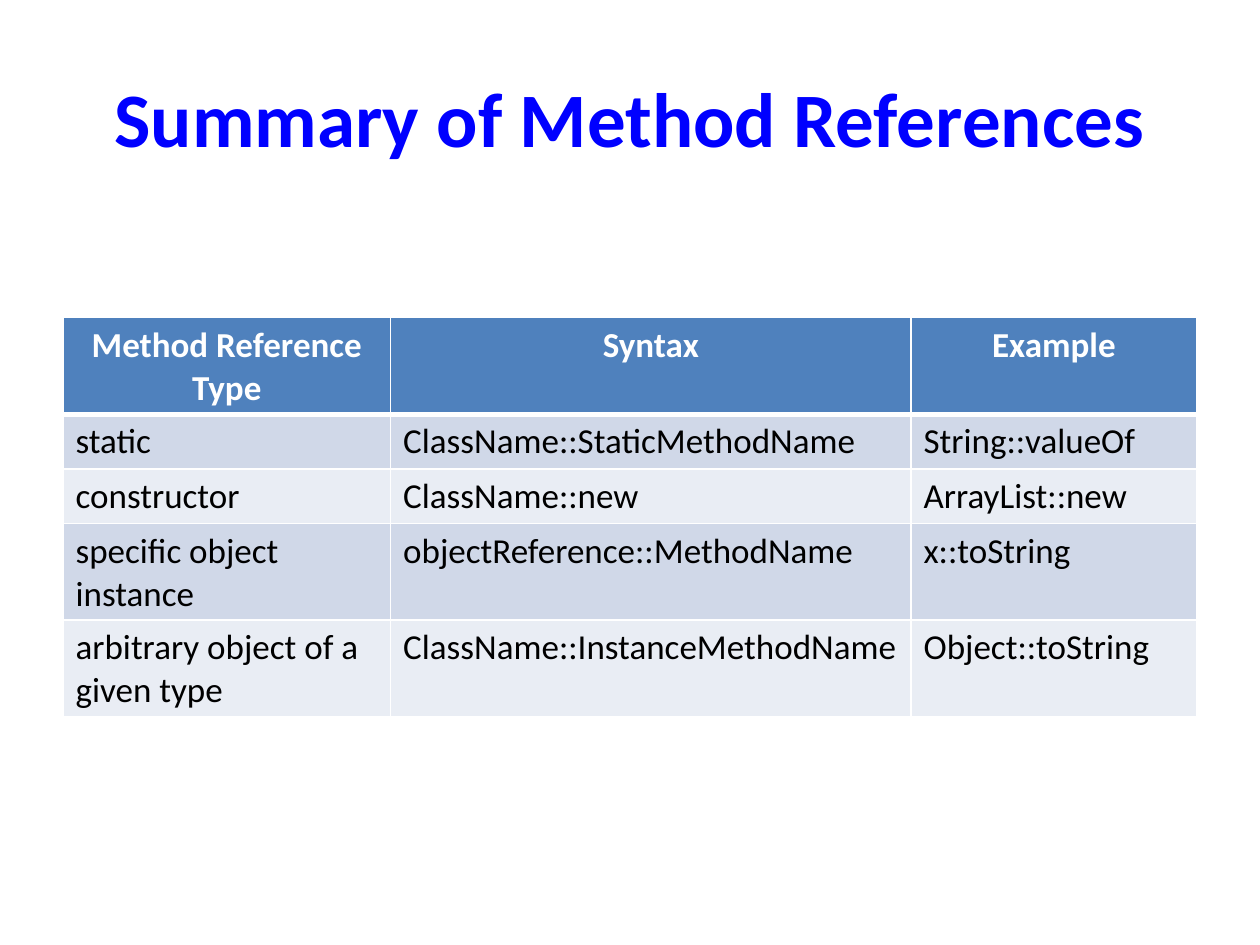
from lxml.etree import SubElement
from pptx import Presentation
from pptx.dml.color import RGBColor
from pptx.enum.text import MSO_ANCHOR as Anchor, PP_ALIGN as Align
from pptx.oxml.ns import qn
from pptx.util import Inches, Pt

COLORS = {
    "title": "0000FF",
    "header": "4F81BD",
    "odd": "D0D8E8",
    "even": "E9EDF4",
    "white": "FFFFFF",
    "black": "000000",
}


class SlideBuilder:
    font = "Calibri"

    def __init__(self, slide):
        self.slide = slide

    def set_text(self, frame, text, size, color, bold=False, align=Align.LEFT):
        frame.text = text
        paragraph = frame.paragraphs[0]
        paragraph.alignment = align
        font = paragraph.runs[0].font
        font.name, font.size, font.bold = self.font, Pt(size), bold
        font.color.rgb = RGBColor.from_string(COLORS[color])

    def title(self, text, left, top, width, height):
        box = self.slide.shapes.add_textbox(
            Inches(left), Inches(top), Inches(width), Inches(height))
        frame = box.text_frame
        frame.word_wrap = True
        frame.vertical_anchor = Anchor.MIDDLE
        self.set_text(frame, text, 44, "title", True, Align.CENTER)

    def border(self, cell, side, points):
        line = SubElement(cell._tc.get_or_add_tcPr(), qn(f"a:{side}"),
                          w=str(Pt(points)))
        fill = SubElement(line, qn("a:solidFill"))
        SubElement(fill, qn("a:srgbClr"), val=COLORS["white"])

    def table(self, rows, left, top, widths, row_height):
        table = self.slide.shapes.add_table(
            len(rows), len(widths), Inches(left), Inches(top),
            Inches(sum(widths)), Inches(row_height * len(rows))).table
        for column, width in zip(table.columns, widths):
            column.width = Inches(width)
        for r, row in enumerate(rows):
            table.rows[r].height = Inches(row_height)
            band = "header" if r == 0 else "odd" if r % 2 else "even"
            for c, text in enumerate(row):
                cell = table.cell(r, c)
                # A thick rule separates the header from the body
                thickness = {"lnL": 1, "lnR": 1, "lnT": 3 if r == 1 else 1,
                             "lnB": 3 if r == 0 else 1}
                for side, points in thickness.items():
                    self.border(cell, side, points)
                cell.fill.solid()
                cell.fill.fore_color.rgb = RGBColor.from_string(COLORS[band])
                if r == 0:
                    self.set_text(cell.text_frame, text, 20, "white", True, Align.CENTER)
                else:
                    self.set_text(cell.text_frame, text, 20, "black")


deck = Presentation()
deck.slide_width, deck.slide_height = Inches(10), Inches(7.5)
summary = SlideBuilder(deck.slides.add_slide(deck.slide_layouts[6]))

# Title
summary.title("Summary of Method References", 0.5, 0.3, 9, 1.25)

# Method reference table
method_references = [
    ("Method Reference Type", "Syntax", "Example"),
    ("static", "ClassName::StaticMethodName", "String::valueOf"),
    ("constructor", "ClassName::new", "ArrayList::new"),
    ("specific object instance", "objectReference::MethodName", "x::toString"),
    ("arbitrary object of a given type", "ClassName::InstanceMethodName",
     "Object::toString"),
]
summary.table(method_references, 0.5, 2.52, (2.6, 4.13, 2.27), 0.41)

deck.save("out.pptx")
